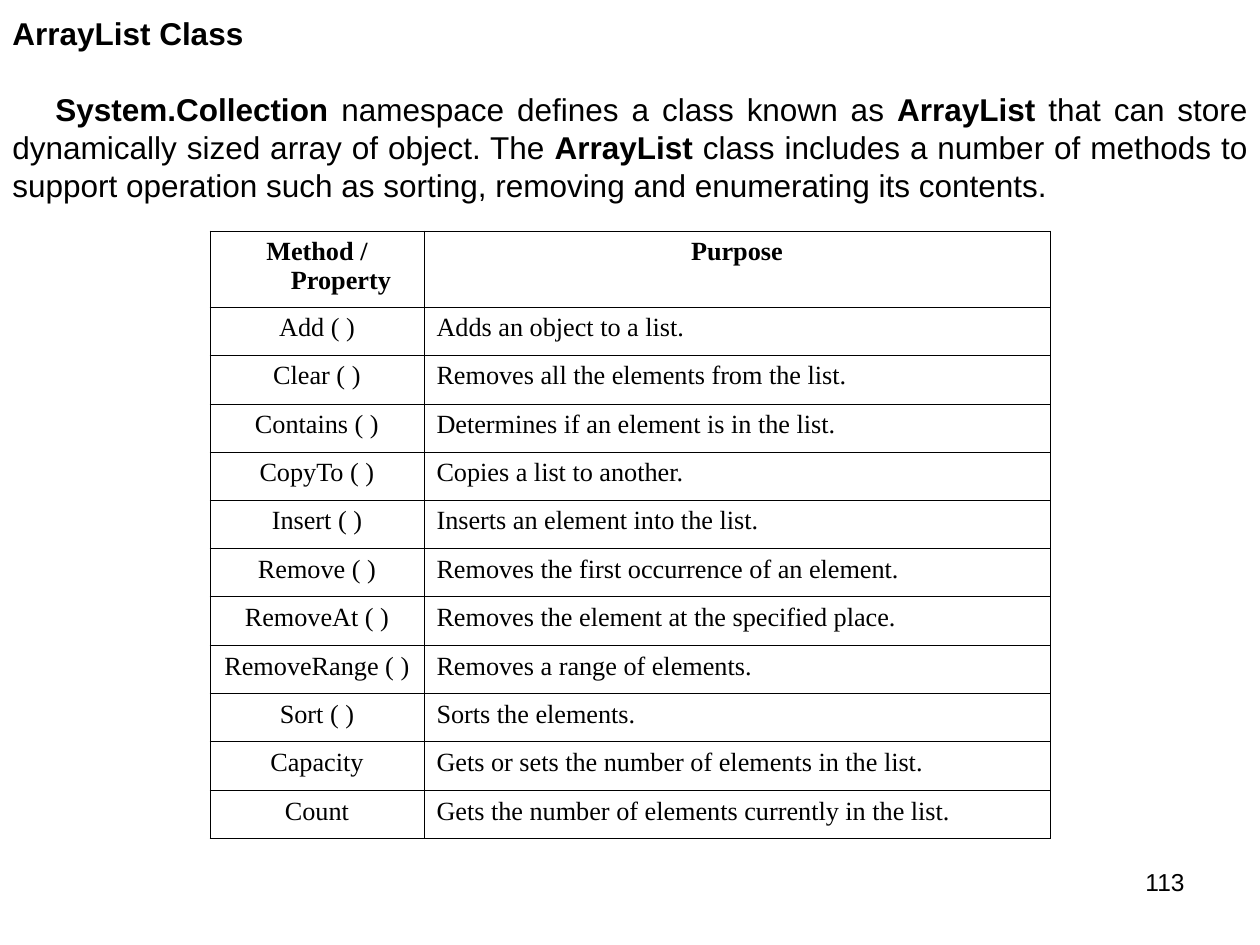
from lxml import etree
from pptx import Presentation
from pptx.dml.color import RGBColor
from pptx.enum.text import MSO_ANCHOR, MSO_AUTO_SIZE, PP_ALIGN
from pptx.oxml.ns import qn
from pptx.util import Pt

PX = 914400 // 126
LEFT, CENTER, RIGHT = PP_ALIGN.LEFT, PP_ALIGN.CENTER, PP_ALIGN.RIGHT
JUSTIFY = PP_ALIGN.JUSTIFY
MIDDLE = MSO_ANCHOR.MIDDLE
FIT_SHAPE = MSO_AUTO_SIZE.SHAPE_TO_FIT_TEXT
COLORS = {"text": "000000", "border": "000000", "page": "FFFFFF"}


def write(para, *texts, font="Arial", size=18, bold=False, align=LEFT,
          margin=0, indent=0, line=None, before=None):
    para.alignment = align
    if line:
        para.line_spacing = Pt(line)
    if before:
        para.space_before = Pt(before)
    properties = para._p.get_or_add_pPr()
    properties.set("marL", str(margin * PX))
    properties.set("indent", str(indent * PX))
    for text in texts:
        span = para.add_run()
        span.text = text
        span.font.name = font
        span.font.size = Pt(size)
        span.font.bold = bold or text in BOLD_TERMS
        span.font.color.rgb = RGBColor.from_string(COLORS["text"])


def draw_borders(cell):
    properties = cell._tc.get_or_add_tcPr()
    for side in ("a:lnL", "a:lnR", "a:lnT", "a:lnB"):
        border = etree.SubElement(properties, qn(side), w=str(Pt(0.45)))
        fill = etree.SubElement(border, qn("a:solidFill"))
        etree.SubElement(fill, qn("a:srgbClr"), val=COLORS["border"])


BOLD_TERMS = ("System.Collection ", "ArrayList ")
INTRO = (
    "System.Collection ",
    "namespace defines a class known as ",
    "ArrayList ",
    "that can store dynamically sized array of object. The ",
    "ArrayList ",
    "class includes a number of methods to support operation such as "
    "sorting, removing and enumerating its contents.",
)
ROWS = [
    ("Method / Property", "Purpose"),
    ("Add ( )", "Adds an object to a list."),
    ("Clear ( )", "Removes all the elements from the list."),
    ("Contains ( )", "Determines if an element is in the list."),
    ("CopyTo ( )", "Copies a list to another."),
    ("Insert ( )", "Inserts an element into the list."),
    ("Remove ( )", "Removes the first occurrence of an element."),
    ("RemoveAt ( )", "Removes the element at the specified place."),
    ("RemoveRange ( )", "Removes a range of elements."),
    ("Sort ( )", "Sorts the elements."),
    ("Capacity", "Gets or sets the number of elements in the list."),
    ("Count", "Gets the number of elements currently in the list."),
]

deck = Presentation()
deck.slide_width = 1260 * PX
deck.slide_height = 945 * PX
page = deck.slides.add_slide(deck.slide_layouts[6])
page.background.fill.solid()
page.background.fill.fore_color.rgb = RGBColor.from_string(COLORS["page"])

number_box = page.shapes.add_textbox(903 * PX, 861 * PX, 294 * PX, 66 * PX)
number_box.text_frame.word_wrap = True
write(number_box.text_frame.paragraphs[0], "113", size=14, align=RIGHT)

intro_box = page.shapes.add_textbox(0, 8 * PX, 1260 * PX, 202 * PX)
intro_frame = intro_box.text_frame
intro_frame.word_wrap = True
intro_frame.auto_size = FIT_SHAPE
intro_frame.vertical_anchor = MIDDLE
write(intro_frame.paragraphs[0], "ArrayList Class", bold=True, line=21.6)
write(intro_frame.add_paragraph(), *INTRO, align=JUSTIFY, indent=43,
      line=21.6, before=21.6)

header_height, body_height = 76, 532
body_rows = len(ROWS) - 1
table = page.shapes.add_table(len(ROWS), 2, 210 * PX, 231 * PX, 840 * PX,
                              (header_height + body_height) * PX).table
table.first_row = False
table.horz_banding = False
for column, width in zip(table.columns, (214, 626)):
    column.width = width * PX

for index, texts in enumerate(ROWS):
    is_header = index == 0
    if is_header:
        height = header_height
    else:
        height = (round(index * body_height / body_rows)
                  - round((index - 1) * body_height / body_rows))
    table.rows[index].height = height * PX
    for column_index, text in enumerate(texts):
        cell = table.cell(index, column_index)
        draw_borders(cell)
        cell.fill.background()
        centered = is_header or column_index == 0
        write(cell.text_frame.paragraphs[0], text, font="Times New Roman",
              size=15, bold=is_header, align=CENTER if centered else LEFT,
              margin=48, indent=-48)

deck.save("out.pptx")
